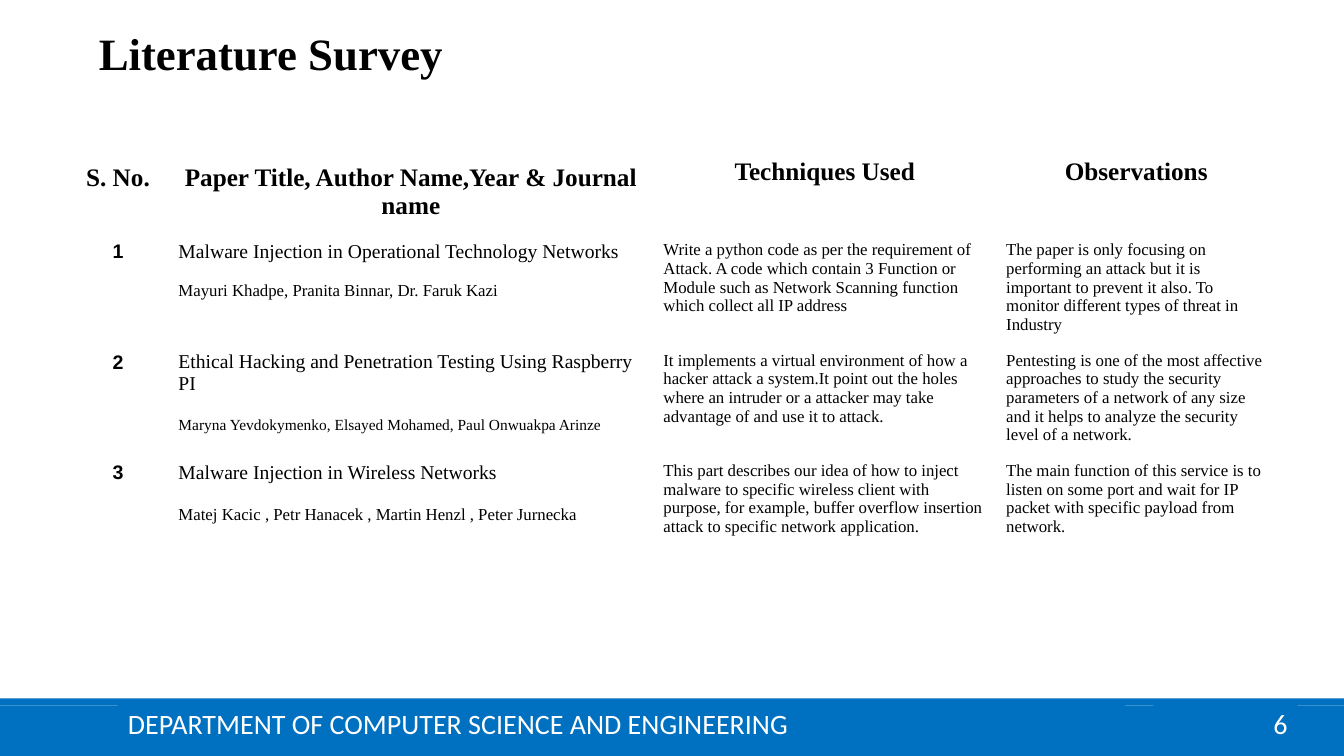
from pptx import Presentation
from pptx.dml.color import RGBColor
from pptx.enum import shapes, text
from pptx.util import Inches, Pt

TITLE = "Literature Survey"
DEPARTMENT = "DEPARTMENT OF COMPUTER SCIENCE AND ENGINEERING"
PAGE = "6"
HEADINGS = ["S. No.", "Paper Title, Author Name,Year & Journal name",
            "Techniques Used", "Observations"]
PAPERS = [
    {"title": "Malware Injection in Operational Technology Networks",
     "authors": "Mayuri Khadpe, Pranita Binnar, Dr. Faruk Kazi",
     "author_size": 12, "gap": 13.3,
     "techniques": "Write a python code as per the requirement of Attack. A code which "
                   "contain 3 Function or Module such as Network Scanning function "
                   "which collect all IP address",
     "observations": "The paper is only focusing on performing an attack but it is "
                     "important to prevent it also. To monitor different types of "
                     "threat in Industry"},
    {"title": "Ethical Hacking and Penetration Testing Using Raspberry PI",
     "authors": "Maryna Yevdokymenko, Elsayed Mohamed, Paul Onwuakpa Arinze",
     "author_size": 11, "gap": 15.5,
     "techniques": "It implements a virtual environment of how a hacker attack a "
                   "system.It point out the holes where an intruder or a attacker may "
                   "take advantage of and use it to attack.",
     "observations": "Pentesting is one of the most affective approaches to study the "
                     "security parameters of a network of any size and it helps to "
                     "analyze the security level of a network."},
    {"title": "Malware Injection in Wireless Networks",
     "authors": "Matej Kacic , Petr Hanacek , Martin Henzl , Peter Jurnecka",
     "author_size": 12, "gap": 15.5,
     "techniques": "This part describes our idea of how to inject malware to specific "
                   "wireless client with purpose, for example, buffer overflow "
                   "insertion attack to specific network application.",
     "observations": "The main function of this service is to listen on some port and "
                     "wait for IP packet with specific payload from network."},
]
COLUMN_WIDTHS = [1, 4.81, 3.4, 2.78]
ROW_HEIGHTS = [1.04, 1.04, 1.04, 1.31]
HEADING_MARGINS = [(0.1, 0.38), (0.1, 0.38), (0.06, 0.32), (0.06, 0.32)]
FOOTER_PARTS = [
    ((0, 7, 13.33, 0.5), "", "LEFT"),
    ((0, 6.93, 13.33, 0.07), "", "LEFT"),
    ((11.44, 6.98, 1.43, 0.4), PAGE, "RIGHT"),
    ((1.17, 6.98, 9.99, 0.39), DEPARTMENT, "LEFT"),
]


class Theme:
    blue = RGBColor.from_string("0070C0")
    white = RGBColor.from_string("FFFFFF")
    black = RGBColor.from_string("000000")
    title = {"name": "Times New Roman", "size": Pt(32), "bold": True}
    heading = {"name": "Times New Roman", "size": Pt(18), "bold": True}
    number = {"name": "Arial", "size": Pt(14), "bold": True}
    paper = {"name": "Times New Roman", "size": Pt(14), "bold": False}
    body = {"name": "Times New Roman", "size": Pt(12), "bold": False}
    footer = {"name": "Calibri", "size": Pt(20), "bold": False}


def write(paragraph, words, style, color=Theme.black, align="LEFT"):
    paragraph.alignment = getattr(text.PP_ALIGN, align)
    run = paragraph.add_run()
    run.text = words
    for name, value in style.items():
        setattr(run.font, name, value)
    run.font.color.rgb = color


def add_footer(slide):
    for box, words, align in FOOTER_PARTS:
        shape = slide.shapes.add_shape(shapes.MSO_SHAPE.RECTANGLE, *map(Inches, box))
        shape.shadow.inherit = False
        shape.fill.solid()
        shape.fill.fore_color.rgb = Theme.blue
        shape.line.fill.background()
        if words:
            shape.text_frame.vertical_anchor = text.MSO_ANCHOR.MIDDLE
            write(shape.text_frame.paragraphs[0], words, Theme.footer, Theme.white, align)


def add_title(slide):
    title = slide.shapes.title
    title.left, title.top, title.width, title.height = map(Inches, (0.88, -0.13, 10.94, 2.65))
    frame = title.text_frame
    frame.auto_size = text.MSO_AUTO_SIZE.NONE
    frame.vertical_anchor = text.MSO_ANCHOR.TOP
    frame.margin_top = Inches(0.12)
    frame.paragraphs[0].line_spacing = 1.5
    write(frame.paragraphs[0], TITLE, Theme.title)


def set_margins(cell, side, top, bottom):
    cell.margin_left = cell.margin_right = Inches(side)
    cell.margin_top, cell.margin_bottom = Inches(top), Inches(bottom)


def add_survey(slide):
    table = slide.shapes.add_table(
        len(ROW_HEIGHTS), len(COLUMN_WIDTHS), Inches(0.67), Inches(1.25),
        Inches(sum(COLUMN_WIDTHS)), Inches(sum(ROW_HEIGHTS))).table
    table.first_row = table.horz_banding = False
    for column, width in zip(table.columns, COLUMN_WIDTHS):
        column.width = Inches(width)
    for row, height in zip(table.rows, ROW_HEIGHTS):
        row.height = Inches(height)
    for cell in table.iter_cells():
        cell.fill.background()
        set_margins(cell, 0.1, 0.1, 0.07)
    for column, (heading, (side, top)) in enumerate(zip(HEADINGS, HEADING_MARGINS)):
        cell = table.cell(0, column)
        set_margins(cell, side, top, 0.1)
        write(cell.text_frame.paragraphs[0], heading, Theme.heading, align="CENTER")
    for number, paper in enumerate(PAPERS, 1):
        frames = [cell.text_frame for cell in table.rows[number].cells]
        first = [frame.paragraphs[0] for frame in frames]
        write(first[0], str(number), Theme.number, align="CENTER")
        write(first[1], paper["title"], Theme.paper)
        authors = frames[1].add_paragraph()
        authors.space_before = Pt(paper["gap"])
        write(authors, paper["authors"], {**Theme.body, "size": Pt(paper["author_size"])})
        write(first[2], paper["techniques"], Theme.body)
        write(first[3], paper["observations"], Theme.body)


def main():
    presentation = Presentation()
    presentation.slide_width, presentation.slide_height = Inches(13.33), Inches(7.5)
    slide = presentation.slides.add_slide(presentation.slide_layouts[5])
    add_footer(slide)
    add_title(slide)
    add_survey(slide)
    presentation.save("out.pptx")


if __name__ == "__main__":
    main()
